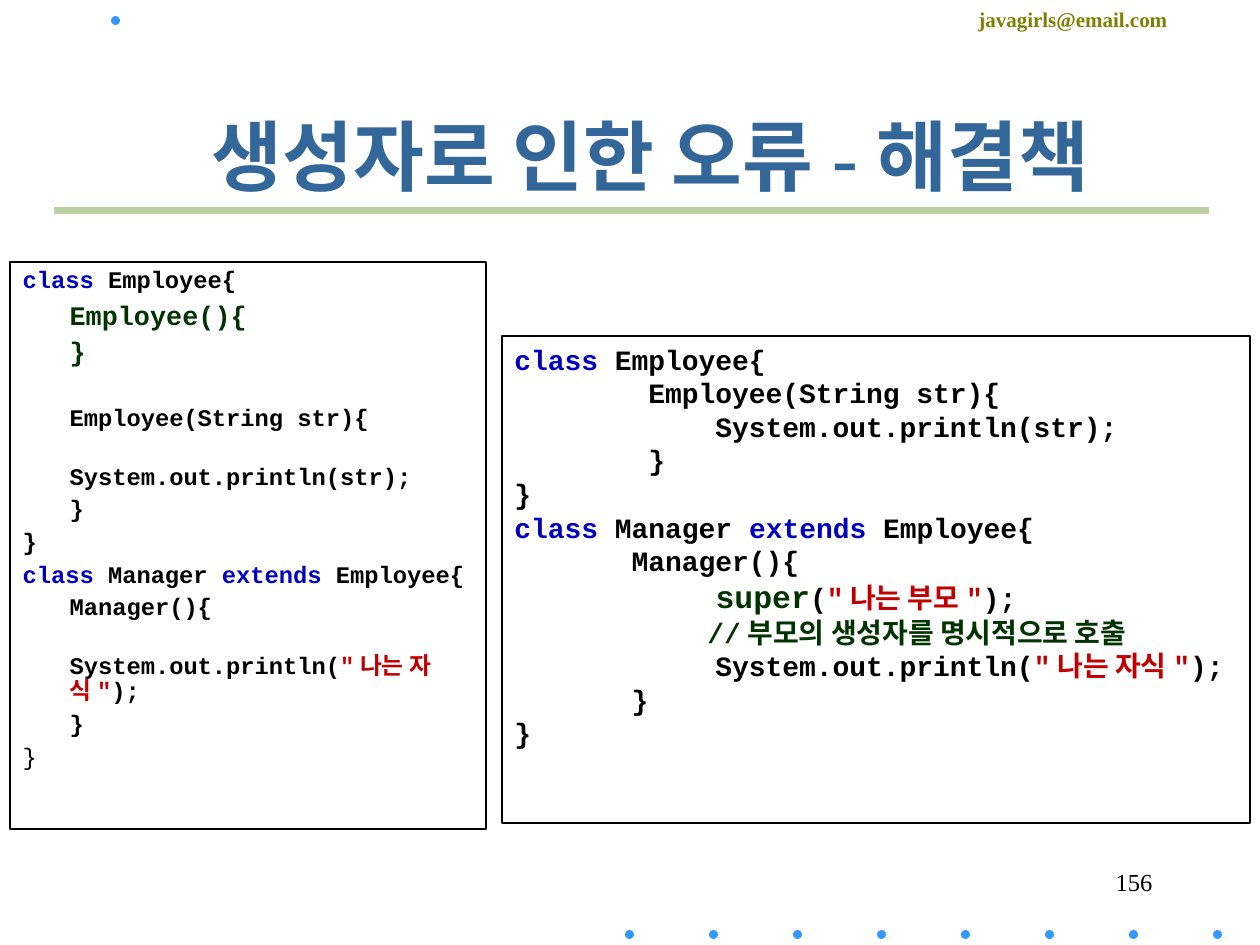
from lxml.etree import SubElement
from pptx import Presentation
from pptx.dml.color import RGBColor
from pptx.enum.shapes import MSO_SHAPE
from pptx.enum.text import MSO_ANCHOR, MSO_AUTO_SIZE, PP_ALIGN
from pptx.oxml.ns import qn
from pptx.util import Emu, Pt

SCALE = 914400 / 126
INCH = 126
BLACK = RGBColor(0x00, 0x00, 0x00)
BLUE = RGBColor(0x00, 0x00, 0xC0)
RED = RGBColor(0xC1, 0x00, 0x00)
GREEN = RGBColor(0x00, 0x33, 0x00)
TITLE_BLUE = RGBColor(0x33, 0x66, 0x99)
OLIVE = RGBColor(0x80, 0x80, 0x00)
DOT_BLUE = RGBColor(0x33, 0x99, 0xFF)
RULE_GREEN = RGBColor(0xBB, 0xD0, 0xA0)

KEYWORD = {"color": BLUE}
STRING = {"color": RED}
COMMENT = {"color": GREEN}
CONSTRUCTOR = {"color": GREEN, "size": 15.3}
SUPER = {"color": GREEN, "size": 18}
PLAIN = {"bold": False}

MANAGER_HEAD = [("class", KEYWORD), " Manager ", ("extends", KEYWORD), " Employee{"]
FIRST_CODE = [
    [("class", KEYWORD), " Employee{"],
    [("\tEmployee(){", CONSTRUCTOR)],
    [("\t}", CONSTRUCTOR)],
    ["\tEmployee(String str){"],
    ["\t\tSystem.out.println(str);"],
    ["\t}"],
    ["}"],
    MANAGER_HEAD,
    ["\tManager(){"],
    ["          System.out.println(", ('"나는 자식"', STRING), ");"],
    ["\t}"],
    [("}", PLAIN)],
]
SECOND_CODE = [
    [("class", KEYWORD), " Employee{"],
    ["        Employee(String str){"],
    ["            System.out.println(str);"],
    ["        }"],
    ["}"],
    MANAGER_HEAD,
    ["       Manager(){"],
    ["            ", ("super", SUPER), "(", ('"나는 부모"', STRING), ");"],
    ["\t\t    ", ("//부모의 생성자를 명시적으로 호출", COMMENT)],
    ["            System.out.println(", ('"나는 자식"', STRING), ");"],
    ["       }"],
    ["}"],
]


def px(length):
    """Turn pixels into EMU."""
    return Emu(round(length * SCALE))


def place(item, left, top, width, height):
    """Move an object to a box given in pixels."""
    item.left, item.top, item.width, item.height = map(px, (left, top, width, height))


def add_span(para, text, size, color, bold, font):
    """Add one formatted run to a paragraph."""
    span = para.add_run()
    span.text = text
    span.font.size = Pt(size)
    span.font.name = font
    span.font.bold = bold
    span.font.color.rgb = color


def set_layout(para, indent, tabs):
    """Set the hanging indent, absence of bullet and inch tab stops."""
    properties = para._p.get_or_add_pPr()
    properties.set("marL", str(px(indent)))
    properties.set("indent", str(-px(indent)))
    SubElement(properties, qn("a:buNone"))
    if tabs:
        stops = SubElement(properties, qn("a:tabLst"))
        for position in range(tabs):
            SubElement(stops, qn("a:tab"), pos=str(px(position * INCH)), algn="l")


def write(box, lines, size, color=BLACK, bold=True, font="Times New Roman",
          align=PP_ALIGN.LEFT, anchor=MSO_ANCHOR.TOP, indent=0, tabs=0,
          spacing=1.0, before=0, gaps=None):
    """Fill a box with lines, each a list of texts or (text, style) pairs."""
    frame = box.text_frame
    frame.word_wrap = True
    frame.auto_size = MSO_AUTO_SIZE.NONE
    frame.vertical_anchor = anchor
    base = {"size": size, "color": color, "bold": bold, "font": font}
    for index, line in enumerate(lines):
        para = frame.add_paragraph() if index else frame.paragraphs[0]
        para.alignment = align
        para.line_spacing = spacing
        para.space_before = Pt((gaps or {}).get(index, before) if index else 0)
        set_layout(para, indent, tabs)
        for part in line:
            text, style = (part, {}) if isinstance(part, str) else part
            add_span(para, text, **{**base, **style})


def add_block(page, preset, color, *area):
    """Add a plain filled shape."""
    block = page.shapes.add_shape(preset, *map(px, area))
    block.shadow.inherit = False
    block.fill.solid()
    block.fill.fore_color.rgb = color
    block.line.fill.background()


def add_dots(page, left, top, count=1, step=84, size=9):
    """Add a row of evenly spaced dots."""
    for index in range(count):
        add_block(page, MSO_SHAPE.OVAL, DOT_BLUE, left + index * step, top, size, size)


def add_label(page, text, area, **style):
    """Add a one-line text box."""
    write(page.shapes.add_textbox(*map(px, area)), [[text]], **style)


def add_header(page, left, top, width, height):
    """Place the title, its rule, the address and the corner dot."""
    add_dots(page, left + 111, top + 16)
    add_label(page, "javagirls@email.com", (left + width - 294, top, 294, 38),
              size=12, color=OLIVE)
    add_block(page, MSO_SHAPE.RECTANGLE, RULE_GREEN,
              left + 54, top + height - 7, width - 105, 7)
    title = page.shapes.title
    place(title, left + 95, top + 76, 1111, 158)
    write(title, [["생성자로 인한 오류-해결책"]], size=44, color=TITLE_BLUE,
          align=PP_ALIGN.CENTER, anchor=MSO_ANCHOR.MIDDLE)


def add_code(box, lines, area, border, **style):
    """Outline a box and fill it with code."""
    place(box, *area)
    box.line.color.rgb = BLACK
    box.line.width = Pt(border)
    write(box, lines, font="Courier New", tabs=8, **style)


def add_footer(page, left, top, width, height):
    """Place the page number and the row of dots."""
    add_label(page, "156", (left + width - 357, top, 262, 63),
              size=14, bold=False, align=PP_ALIGN.RIGHT)
    add_dots(page, left + width - 635, top + height - 15, count=8)


def main():
    """Build the slide and save it."""
    deck = Presentation()
    deck.slide_width, deck.slide_height = px(1260), px(945)
    page = deck.slides.add_slide(deck.slide_layouts[1])
    add_header(page, 0, 0, 1260, 214)
    add_code(page.placeholders[1], FIRST_CODE, (10, 262, 476, 567), 0.75,
             size=13.6, indent=47, spacing=0.9, before=4,
             gaps={1: 4.5, 2: 4.5, 3: 22})
    right_box = page.shapes.add_textbox(0, 0, 0, 0)
    add_code(right_box, SECOND_CODE, (502, 336, 748, 487), 1, size=16)
    add_footer(page, 0, 861, 1260, 84)
    deck.save("out.pptx")


if __name__ == "__main__":
    main()
